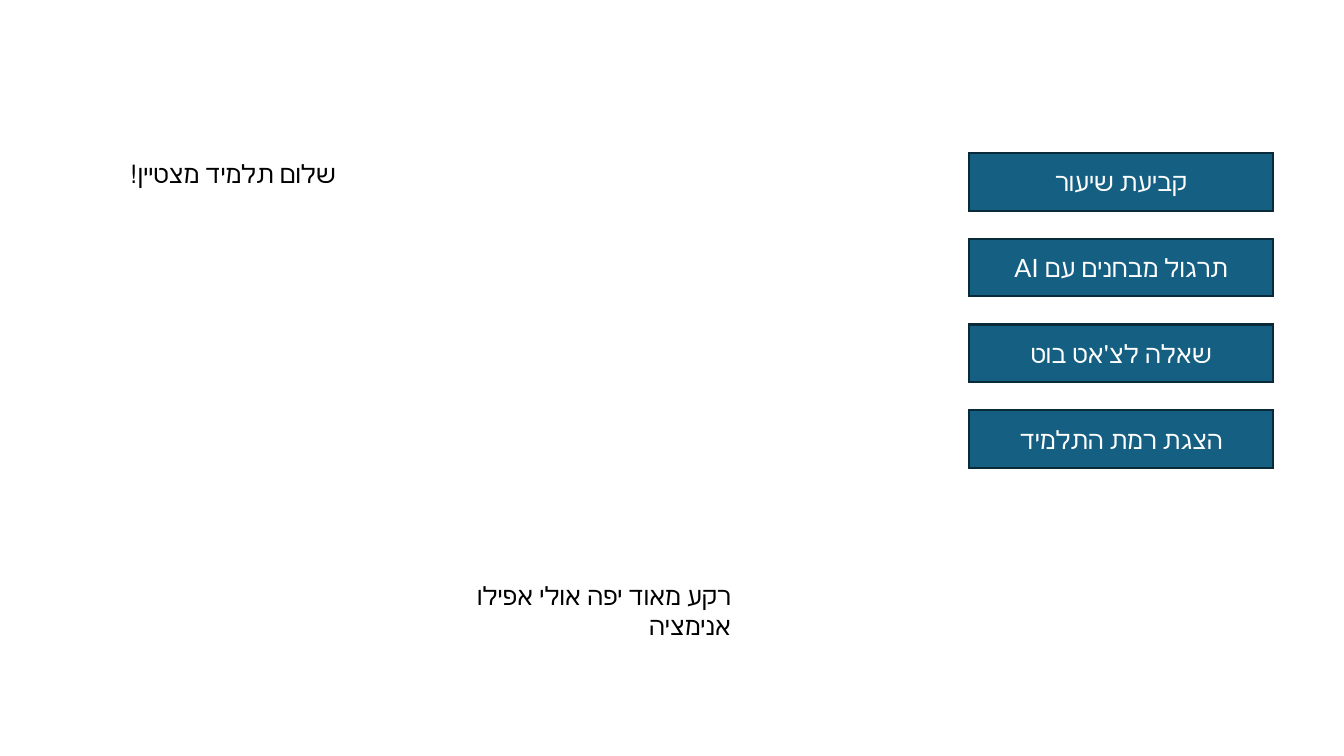
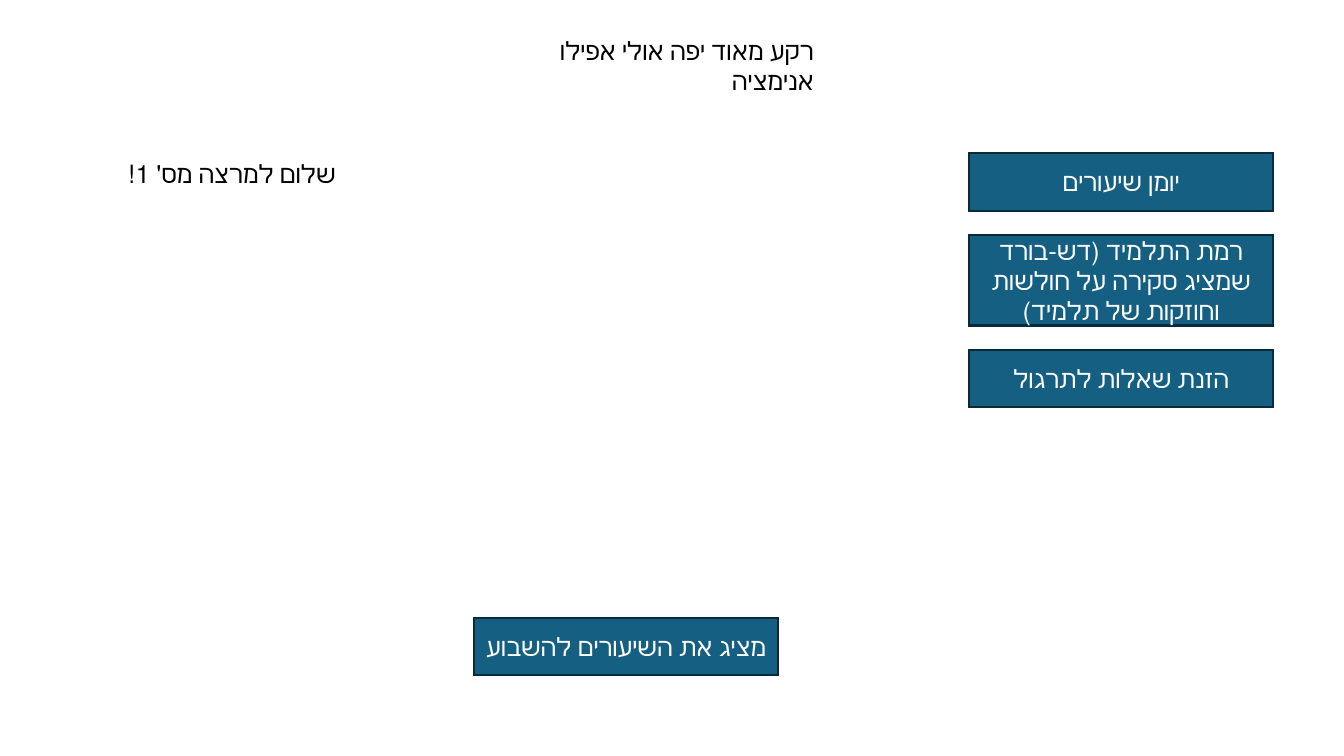
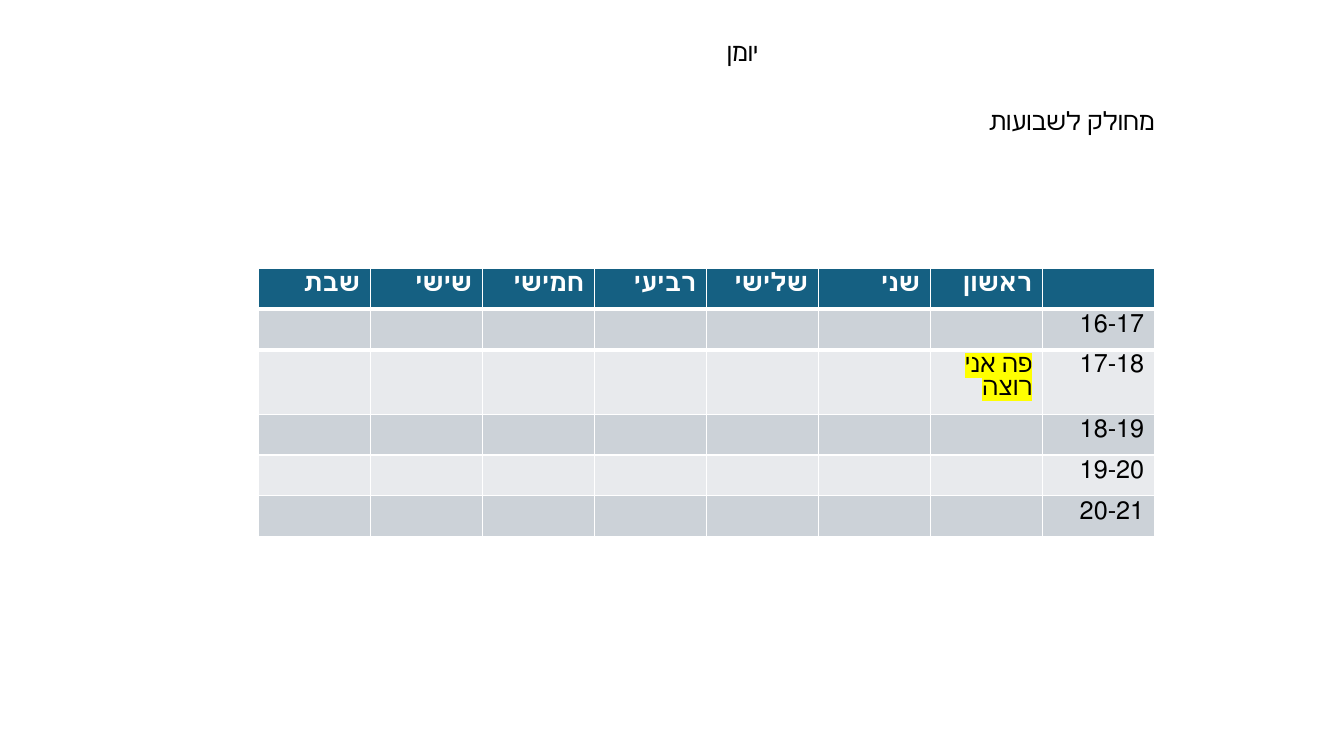
"""Builds three screens of a tutoring app: student menu, lecturer menu and weekly diary."""
from dataclasses import dataclass

from lxml import etree
from pptx import Presentation
from pptx.dml.color import RGBColor
from pptx.enum.shapes import MSO_SHAPE
from pptx.enum.text import MSO_ANCHOR, MSO_AUTO_SIZE, PP_ALIGN
from pptx.oxml.ns import qn
from pptx.util import Inches, Pt

RECT = MSO_SHAPE.RECTANGLE
CENTER, RIGHT = PP_ALIGN.CENTER, PP_ALIGN.RIGHT
TOP, MIDDLE = MSO_ANCHOR.TOP, MSO_ANCHOR.MIDDLE
GROW = MSO_AUTO_SIZE.SHAPE_TO_FIT_TEXT

FONT, SIZE = "Lato", 18
BLACK, WHITE, YELLOW = "000000", "FFFFFF", "FFFF00"
TEAL, DARK_TEAL = "156082", "092A39"
BANDS = ("CCD2D8", "E8EAED")

LABEL_W, LABEL_H = 3.47, 0.4
BUTTON_W, BUTTON_H = 3.02, 0.57
MENU_X, MENU_Y = 9.61, 1.52
GREETING_X = -0.04
BACKDROP_NOTE = "רקע מאוד יפה אולי אפילו אנימציה"

TABLE_X, TABLE_Y = 2.56, 2.66
TABLE_W, TABLE_H = 8.89, 2.43
CELL_SPACING = 0.9
DAYS = ("ראשון", "שני", "שלישי", "רביעי", "חמישי", "שישי", "שבת")
HOURS = ("16-17", "17-18", "18-19", "19-20", "20-21")
BOOKINGS = {("17-18", "ראשון"): "פה אני רוצה"}


@dataclass(frozen=True)
class Label:
    """A line of free text."""
    text: str
    x: float
    y: float


@dataclass(frozen=True)
class Button:
    """A menu button, taller when its text needs more lines."""
    text: str
    h: float = BUTTON_H


def rgb(color: str) -> RGBColor:
    """Turn a hex string into a colour."""
    return RGBColor.from_string(color)


def write(tf, text: str, *, color: str = BLACK, align=RIGHT, bold: bool = False,
          highlight: str = "", spacing: float | None = None) -> None:
    """Write one right-to-left paragraph."""
    p = tf.paragraphs[0]
    p.alignment = align
    p.line_spacing = spacing
    p._p.get_or_add_pPr().set("rtl", "1")
    r = p.add_run()
    r.text = text
    r.font.size = Pt(SIZE)
    r.font.bold = bold
    r.font.color.rgb = rgb(color)
    r.font.name = FONT
    if highlight:
        mark = etree.Element(qn("a:highlight"))
        etree.SubElement(mark, qn("a:srgbClr"), val=highlight)
        r._r.get_or_add_rPr().find(qn("a:solidFill")).addnext(mark)


def fill_label(sp, label: Label) -> None:
    """Place a text shape and write its label."""
    sp.left, sp.top = Inches(label.x), Inches(label.y)
    sp.width, sp.height = Inches(LABEL_W), Inches(LABEL_H)
    tf = sp.text_frame
    tf.word_wrap = True
    tf.auto_size = GROW
    tf.vertical_anchor = TOP
    write(tf, label.text)


def add_label(s, label: Label) -> None:
    """Add a text box."""
    fill_label(s.shapes.add_textbox(0, 0, 0, 0), label)


def add_button(s, button: Button, x: float, y: float) -> None:
    """Add a filled button with sharp corners and centred text."""
    sp = s.shapes.add_shape(RECT, Inches(x), Inches(y), Inches(BUTTON_W), Inches(button.h))
    sp.shadow.inherit = False
    sp.fill.solid()
    sp.fill.fore_color.rgb = rgb(TEAL)
    sp.line.color.rgb = rgb(DARK_TEAL)
    sp.line.width = Pt(1.5)
    etree.SubElement(sp._element.spPr.find(qn("a:ln")), qn("a:miter"), lim="800000")
    tf = sp.text_frame
    tf.word_wrap = True
    tf.vertical_anchor = MIDDLE
    write(tf, button.text, color=WHITE, align=CENTER)


def add_menu(s, buttons: list[Button], gap: float) -> None:
    """Stack buttons downwards with equal gaps."""
    y = MENU_Y
    for button in buttons:
        add_button(s, button, MENU_X, y)
        y += button.h + gap


def set_border(cell, side: str, width: float) -> None:
    """Draw a white line on one side of a cell."""
    ln = etree.Element(qn(f"a:{side}"), w=str(Pt(width)))
    fill = etree.SubElement(ln, qn("a:solidFill"))
    etree.SubElement(fill, qn("a:srgbClr"), val=WHITE)
    cell._tc.get_or_add_tcPr().insert(0, ln)


def add_diary(s) -> None:
    """Add the week table, with days running from right to left."""
    columns = (*reversed(DAYS), "")
    rows = ("", *HOURS)
    table = s.shapes.add_table(len(rows), len(columns), Inches(TABLE_X), Inches(TABLE_Y),
                               Inches(TABLE_W), Inches(TABLE_H)).table
    for row, hour in enumerate(rows):
        for col, day in enumerate(columns):
            cell = table.cell(row, col)
            cell.fill.solid()
            cell.fill.fore_color.rgb = rgb(BANDS[(row - 1) % 2] if hour else TEAL)
            if row == 0:
                set_border(cell, "lnB", 3)
            elif row == 1:
                set_border(cell, "lnT", 3)
            tf = cell.text_frame
            booking = BOOKINGS.get((hour, day), "")
            if booking:
                write(tf, booking, highlight=YELLOW, spacing=CELL_SPACING)
            elif not hour and day:
                write(tf, day, color=WHITE, bold=True, spacing=CELL_SPACING)
            elif hour and not day:
                write(tf, hour, spacing=CELL_SPACING)


def add_slide(prs, title: Label):
    """Add a title-only slide and set its title."""
    s = prs.slides.add_slide(prs.slide_layouts[5])
    fill_label(s.shapes.title, title)
    return s


def student_slide(prs) -> None:
    """Build the student's menu."""
    s = add_slide(prs, Label("שלום תלמיד מצטיין!", GREETING_X, MENU_Y))
    add_label(s, Label(BACKDROP_NOTE, 3.88, 5.71))
    add_menu(s, [Button("קביעת שיעור"), Button("תרגול מבחנים עם AI"),
                 Button("שאלה לצ'אט בוט"), Button("הצגת רמת התלמיד")], gap=0.28)


def lecturer_slide(prs) -> None:
    """Build the lecturer's menu."""
    s = add_slide(prs, Label("שלום למרצה מס' 1!", GREETING_X, MENU_Y))
    add_label(s, Label(BACKDROP_NOTE, 4.7, 0.3))
    add_menu(s, [Button("יומן שיעורים"),
                 Button("רמת התלמיד (דש-בורד שמציג סקירה על חולשות וחוזקות של תלמיד)", 0.9),
                 Button("הזנת שאלות לתרגול")], gap=0.24)
    add_button(s, Button("מציג את השיעורים להשבוע"), 4.7, 6.13)


def diary_slide(prs) -> None:
    """Build the weekly diary."""
    s = add_slide(prs, Label("יומן", 4.15, 0.31))
    add_diary(s)
    add_label(s, Label("מחולק לשבועות", 8.08, 1))


def main() -> None:
    """Build and save the presentation."""
    prs = Presentation()
    prs.slide_width, prs.slide_height = Inches(13.33), Inches(7.5)
    student_slide(prs)
    lecturer_slide(prs)
    diary_slide(prs)
    prs.save("out.pptx")


if __name__ == "__main__":
    main()
